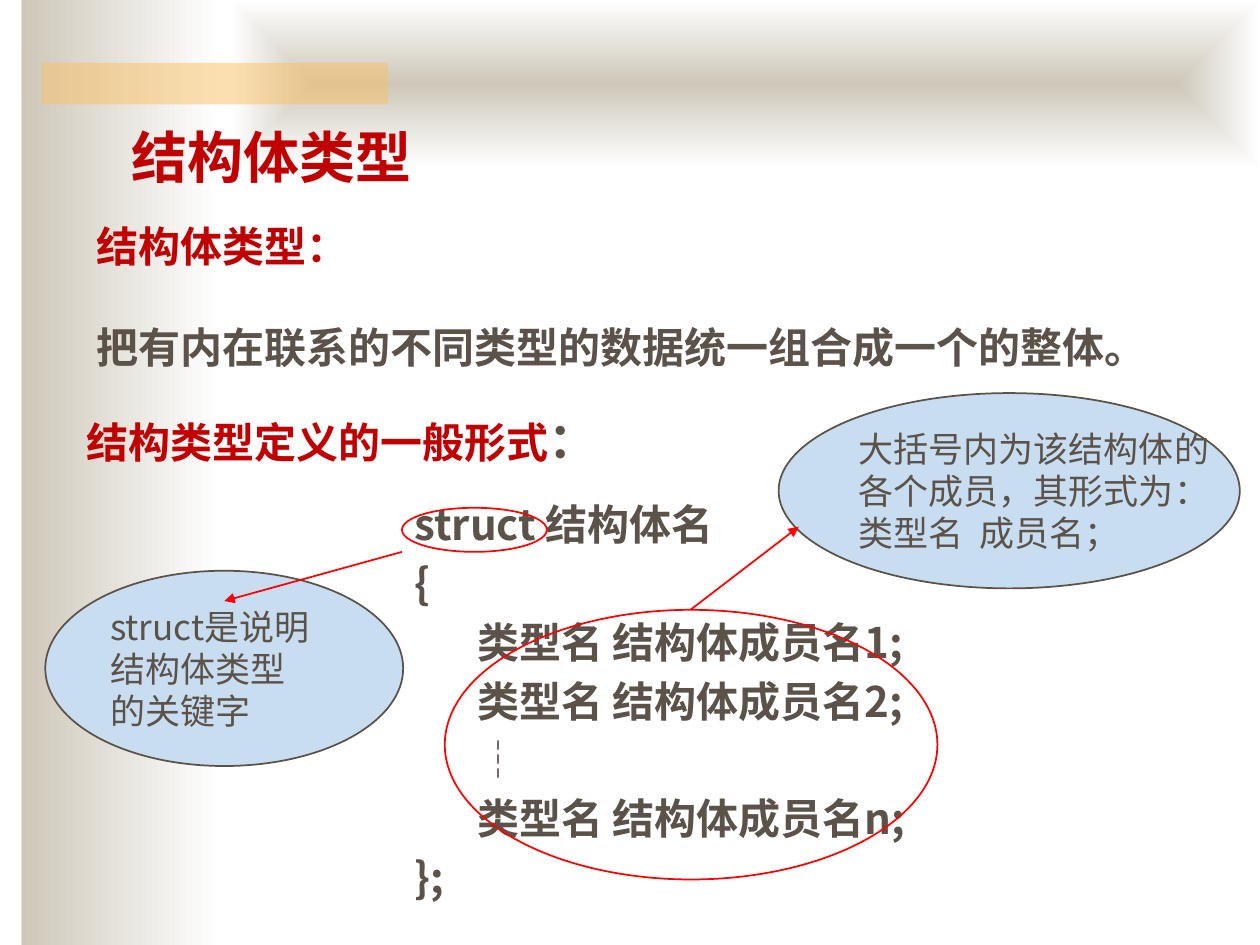
from lxml import etree
from pptx import Presentation
from pptx.dml.color import RGBColor
from pptx.enum.shapes import MSO_CONNECTOR as CONNECTOR, MSO_SHAPE as SHAPE
from pptx.enum.text import MSO_ANCHOR as ANCHOR, MSO_AUTO_SIZE as AUTO_SIZE, PP_ALIGN as ALIGN
from pptx.oxml.ns import qn
from pptx.util import Inches, Pt

COLORS = {name: RGBColor.from_string(value) for name, value in {
    "sand": "CEC8BA", "white": "FFFFFF", "amber": "FAC164", "title": "C00000",
    "body": "5B5249", "callout": "C9DDF1", "mark": "FF0000"}.items()}
CJK_FONT = "Noto Sans CJK SC"


def set_font(font, size, color, bold=True, name=CJK_FONT):
    font.name, font.size, font.bold = name, Pt(size), bold
    font.color.rgb = COLORS[color]
    east_asian = etree.SubElement(font._element if hasattr(font, "_element") else font._rPr, qn("a:ea"))
    east_asian.set("typeface", CJK_FONT)


def add_shape(kind, box, line=None):
    shape = slide.shapes.add_shape(kind, *map(Inches, box))
    shape.shadow.inherit = False
    shape.fill.background()
    if line:
        shape.line.color.rgb = COLORS[line]
        shape.line.width = Pt(1)
    else:
        shape.line.fill.background()
    return shape


presentation = Presentation()
presentation.slide_width, presentation.slide_height = Inches(10), Inches(7.5)
slide = presentation.slides.add_slide(presentation.slide_layouts[5])

# Background bands
side_band = add_shape(SHAPE.RECTANGLE, (0.17, 0, 1.58, 7.5))
top_band = add_shape(SHAPE.RECTANGLE, (1.83, 0, 8.17, 1.33))
for band in (side_band, top_band):
    band.fill.gradient()
    band.fill.gradient_angle = 0
    for stop, color, position in zip(band.fill.gradient_stops, ("sand", "white"), (0, 1)):
        stop.color.rgb = COLORS[color]
        stop.position = position
linear = top_band._element.spPr.find(".//" + qn("a:lin"))
shape_path = etree.Element(qn("a:path"), {"path": "shape"})
etree.SubElement(shape_path, qn("a:fillToRect"), {side: "50000" for side in "ltrb"})
linear.getparent().replace(linear, shape_path)

accent_bar = add_shape(SHAPE.RECTANGLE, (0.33, 0.5, 2.75, 0.33))
accent_bar.fill.solid()
accent_bar.fill.fore_color.rgb = COLORS["amber"]
accent_color = accent_bar._element.spPr.find(".//" + qn("a:srgbClr"))
etree.SubElement(accent_color, qn("a:alpha"), {"val": "50000"})

# Title, in front of the bands
title = slide.shapes.title
title.left, title.top, title.width, title.height = map(Inches, (0.94, 0.92, 2.45, 0.64))
slide.shapes._spTree.append(title._element)
title.text_frame.text = "结构体类型"
title.text_frame.word_wrap = False
title.text_frame.auto_size = AUTO_SIZE.SHAPE_TO_FIT_TEXT
title.text_frame.vertical_anchor = ANCHOR.TOP
title_paragraph = title.text_frame.paragraphs[0]
title_paragraph.alignment = ALIGN.LEFT
set_font(title_paragraph.font, 32, "title", name="Times New Roman")

# Definition, heading and code
definition, heading, code = [
    slide.shapes.add_textbox(*map(Inches, box)).text_frame
    for box in ((0.67, 1.7, 9.06, 1.31), (0.59, 3.2, 9, 1.25), (3.19, 3.91, 5.28, 3.46))]
for frame in (definition, heading, code):
    frame.word_wrap = True

definition.text = "结构体类型：\n把有内在联系的不同类型的数据统一组合成一个的整体。"
for paragraph, color in zip(definition.paragraphs, ("title", "body")):
    set_font(paragraph.font, 24, color)
definition.paragraphs[1].space_before = Pt(28.8)

for text, size, color in (("结构类型定义的一般形式", 24, "title"), ("：", 28, "body")):
    run = heading.paragraphs[0].add_run()
    run.text = text
    set_font(run.font, size, color)

members = [f"\t类型名 结构体成员名{index};" for index in "12n"]
code.text = "\n".join(["struct 结构体名", "{", *members[:2], "\t┆", members[2], "};"])
for paragraph in code.paragraphs:
    set_font(paragraph.font, 24, "body")
    paragraph.space_before = Pt(4.8)
    properties = paragraph._p.get_or_add_pPr()
    properties.set("marL", str(Inches(0.5)))
    properties.set("indent", str(Inches(-0.5)))

# Keyword and member callouts, each with its red ring and arrow
for ring, callout, start, end, text in (
        ((3.19, 4.03, 1.15, 0.35), (0.36, 4.53, 2.84, 1.55), (3.19, 4.38), (1.78, 4.77),
         "struct是说明\n结构体类型\n的关键字"),
        ((3.53, 4.84, 3.91, 2.14), (6.18, 3.12, 3.66, 1.55), (5.48, 4.84), (6.34, 4.18),
         "大括号内为该结构体的\n各个成员，其形式为：\n类型名  成员名；")):
    add_shape(SHAPE.OVAL, ring, "mark")
    bubble = add_shape(SHAPE.OVAL, callout, "body")
    bubble.fill.solid()
    bubble.fill.fore_color.rgb = COLORS["callout"]
    bubble.text_frame.text = text
    bubble.text_frame.word_wrap = False
    bubble.text_frame.vertical_anchor = ANCHOR.MIDDLE
    for paragraph in bubble.text_frame.paragraphs:
        paragraph.alignment = ALIGN.LEFT
        set_font(paragraph.font, 20, "body", bold=False)

    arrow = slide.shapes.add_connector(CONNECTOR.STRAIGHT, *map(Inches, start + end))
    arrow.line.color.rgb = COLORS["mark"]
    arrow.line.width = Pt(1)
    etree.SubElement(arrow.line._get_or_add_ln(), qn("a:tailEnd"), {"type": "triangle"})
    etree.SubElement(arrow._element.spPr, qn("a:effectLst"))

presentation.save("out.pptx")
